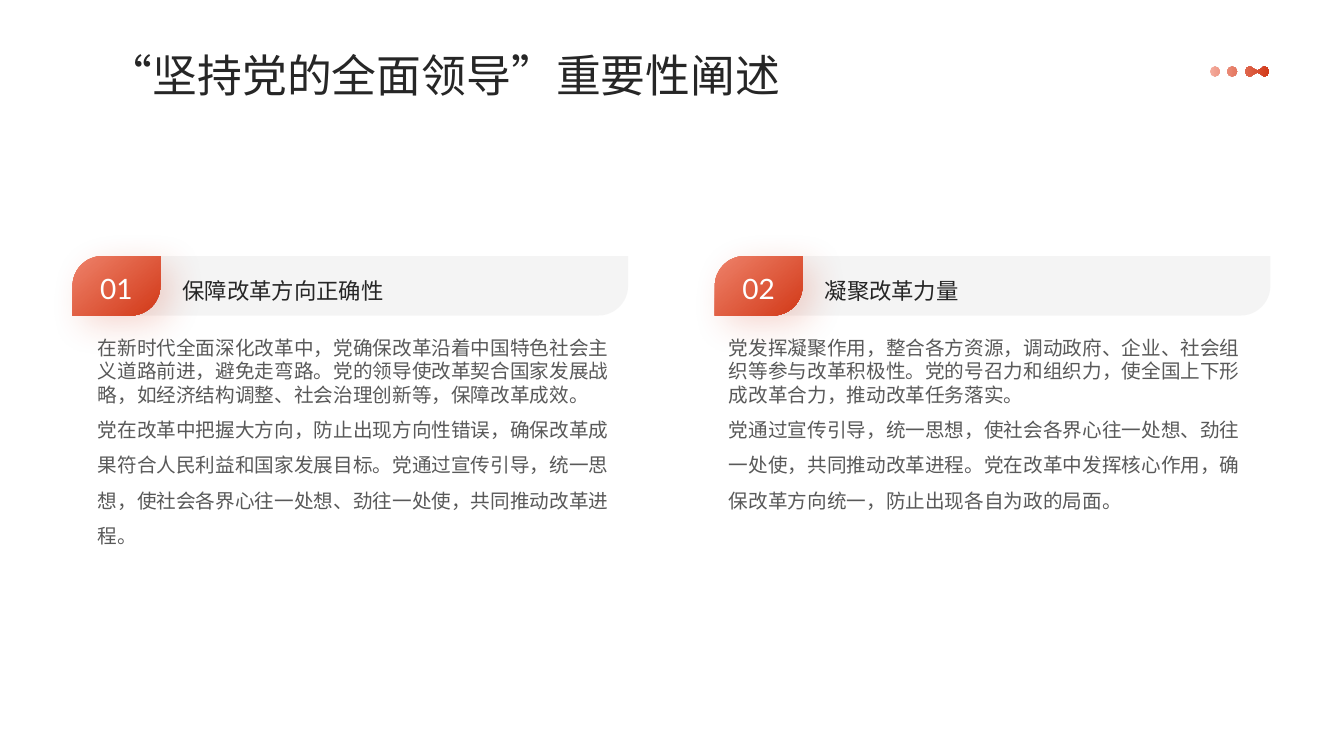
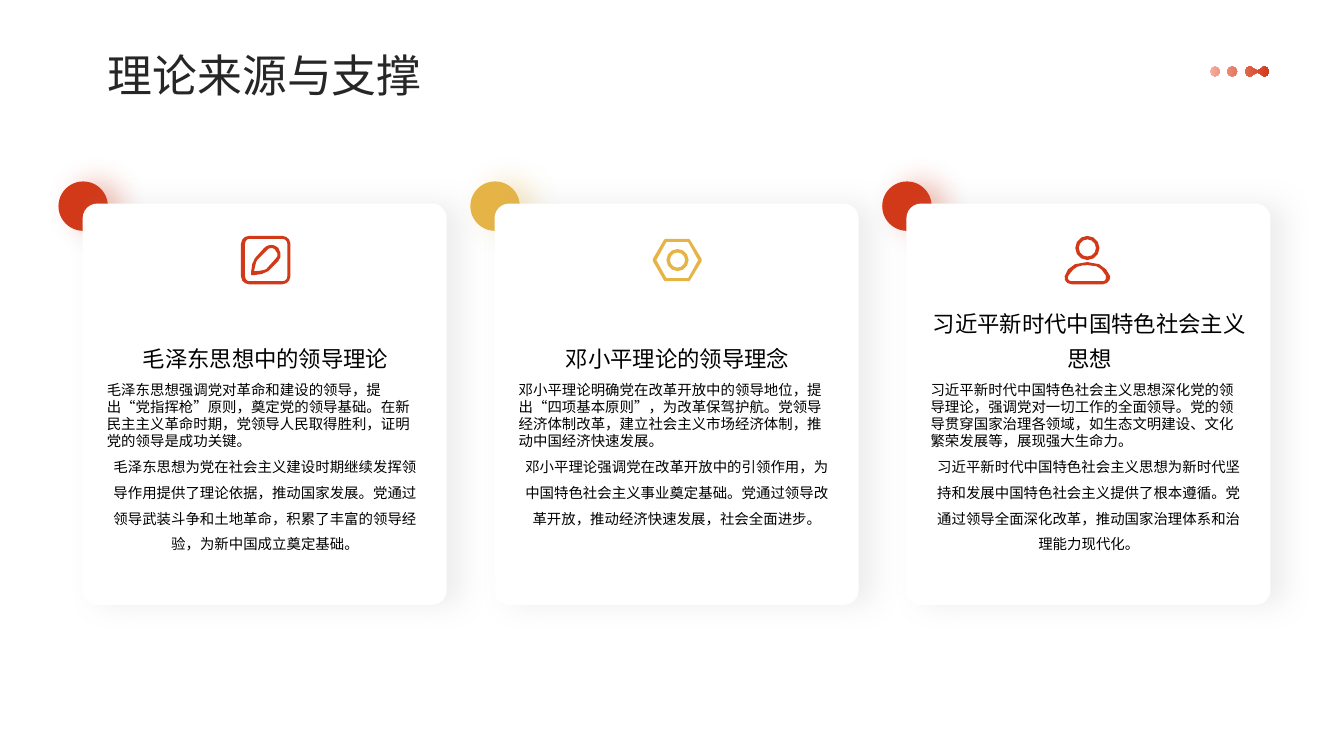
import math
from pptx import Presentation
from pptx import util as u
from pptx.dml.color import RGBColor
from pptx.enum import shapes, text
from pptx.oxml import ns
from lxml import etree

Inches, Pt = u.Inches, u.Pt
MSO = shapes.MSO_SHAPE
ALIGN, ANCHOR = text.PP_ALIGN, text.MSO_ANCHOR
RED, GOLD, CORAL, BLUSH = "D23918", "E6B446", "EE826A", "F4AB9C"
WHITE, BLACK, INK, GREY, PALE, SHADE = "FFFFFF", "000000", "262626", "595959", "F2F2F2", "A6A6A6"
CJK, LATIN = "Noto Sans CJK SC", "Lato"

DOTS = ("O 5 5 5 O 22 5 5 M 39 0 C 41 0 42 1 43 2 C 46 4.5 48 4.5 51 2 C 52 1 53 0 54 0 "
        "C 57 0 59 2 59 5 C 59 8 57 10 54 10 C 53 10 52 9 51 8 C 48 5.5 46 5.5 43 8 "
        "C 42 9 41 10 39 10 C 37 10 35 8 35 5 C 35 2 37 0 39 0")
PEN = ("M 30 12 C 28 12 27 13 26 14 L 16 24 C 15 25 14 30 13 35 C 18 35 23 34 25 33 L 34 23 "
       "C 37 21 37 17 34 14 C 33 13 32 12 30 12 "
       "M 30 9 C 32 9 35 10 37 12 C 40 16 40 22 37 25 L 27 35 C 23 39 10 39 10 39 "
       "C 10 39 10 25 14 22 L 23 12 C 25 10 28 9 30 9 "
       "M 8 3 C 6 3 4 5 4 8 L 4 40 C 4 43 6 45 8 45 L 41 45 C 44 45 46 43 46 40 L 46 8 "
       "C 46 5 44 3 41 3 "
       "M 8 0 L 41 0 C 45 0 49 3 49 8 L 49 40 C 49 45 45 48 41 48 L 8 48 C 4 48 0 45 0 40 "
       "L 0 8 C 0 3 4 0 8 0")
NUT = ("O 24.5 21 7.5 O 24.5 21 11 M 13.5 3 L 3.5 21 L 13.5 39 L 35 39 L 45 21 L 35 3 "
       "M 12 0 L 36 0 L 37 1 L 48.5 20 L 48.5 22 L 37 41 L 36 42 L 12 42 L 11 41 "
       "L 0 22 L 0 20 L 11 1")
PERSON = ("O 22.5 12 8.5 O 22.5 12 12 "
          "M 22.5 29 C 25 29 28 30 31 30 C 33 31 35 32 36 33 C 37 34 38 35 39 37 "
          "C 40 38 41 39 41 41 C 41 43 40 45 38 45 L 7 45 C 4 45 3 43 3 41 "
          "C 4 39 5 37 9 33 C 12 30 17 29 22.5 29 "
          "M 22.5 26 C 7 26 2 33 0 40 C -1 44 2 48 7 48 L 38 48 C 42 48 46 44 45 40 "
          "C 42 33 37 26 22.5 26")


def rgb(value):
    return RGBColor.from_string(value)


def contours(outline, steps):
    tokens = iter(outline.split())
    result = []

    def take(n):
        return [float(next(tokens)) for _ in range(n)]

    for command in tokens:
        if command == "O":
            cx, cy, radius = take(3)
            turns = [math.pi * i / (2 * steps) for i in range(4 * steps)]
            result.append([(cx + radius * math.cos(a), cy + radius * math.sin(a)) for a in turns])
        elif command == "M":
            result.append([tuple(take(2))])
        elif command == "L":
            result[-1].append(tuple(take(2)))
        else:
            start, v = result[-1][-1], take(6)
            knots = [start, v[0:2], v[2:4], v[4:6]]
            for t in (i / steps for i in range(1, steps + 1)):
                weights = [math.comb(3, k) * t ** k * (1 - t) ** (3 - k) for k in range(4)]
                result[-1].append(tuple(sum(w * knot[axis] for w, knot in zip(weights, knots))
                                        for axis in (0, 1)))
    return result


class Deck:
    def __init__(self):
        self.prs = Presentation()
        self.prs.slide_width, self.prs.slide_height = Inches(13.33), Inches(7.5)
        self.s = None

    def slide(self, title):
        self.s = self.prs.slides.add_slide(self.prs.slide_layouts[6])
        self.text([title], 1.07, 0.46, 10.76, 0.51, size=32, color=INK, spacing=[1.1],
                  anchor=ANCHOR.MIDDLE)
        self.freeform(DOTS, 12, 0.66, (BLUSH, RED), steps=2)

    def paint(self, sp, fill, angle=0, alpha=None, shadow=None):
        sp.line.fill.background()
        sp.shadow.inherit = False
        if isinstance(fill, tuple):
            sp.fill.gradient()
            sp.fill.gradient_angle = -angle % 360
            for stop, color in zip(sp.fill.gradient_stops, fill):
                stop.color.rgb = rgb(color)
        else:
            sp.fill.solid()
            sp.fill.fore_color.rgb = rgb(fill)
        props = sp._element.spPr
        if alpha:
            self.alpha(props.find(".//" + ns.qn("a:srgbClr")), alpha)
        if shadow:
            color, opacity, blur, distance, direction = shadow
            outer = etree.SubElement(props.find(ns.qn("a:effectLst")), ns.qn("a:outerShdw"),
                                     blurRad=str(Pt(blur)), dist=str(Pt(distance)),
                                     dir=str(direction * 60000), algn="ctr", rotWithShape="0")
            self.alpha(etree.SubElement(outer, ns.qn("a:srgbClr"), val=color), opacity)
        return sp

    def alpha(self, color_element, percent):
        etree.SubElement(color_element, ns.qn("a:alpha"), val=str(percent * 1000))

    def shape(self, kind, x, y, w, h, fill, adj=(), **style):
        sp = self.s.shapes.add_shape(kind, Inches(x), Inches(y), Inches(w), Inches(h))
        for i, value in enumerate(adj):
            sp.adjustments[i] = value
        return self.paint(sp, fill, **style)

    def freeform(self, outline, x, y, fill, steps=3):
        builder = None
        for points in contours(outline, steps):
            first, *rest = [(x * 1000 + px * 10, y * 1000 + py * 10) for px, py in points]
            if builder is None:
                builder = self.s.shapes.build_freeform(*first, scale=914.4)
            else:
                builder.move_to(*first)
            builder.add_line_segments(rest, close=True)
        return self.paint(builder.convert_to_shape(), fill)

    def text(self, paragraphs, x, y, w, h, size, color, spacing, font=CJK,
             aligns=(ALIGN.LEFT, ALIGN.LEFT), anchor=ANCHOR.TOP):
        tf = self.s.shapes.add_textbox(Inches(x), Inches(y), Inches(w), Inches(h)).text_frame
        tf.word_wrap, tf.vertical_anchor = True, anchor
        tf.margin_left = tf.margin_right = tf.margin_top = tf.margin_bottom = 0
        for i, (content, gap, align) in enumerate(zip(paragraphs, spacing, aligns)):
            p = tf.add_paragraph() if i else tf.paragraphs[0]
            p.alignment, p.line_spacing = align, gap
            r = p.add_run()
            r.text = content
            r.font.size, r.font.name, r.font.color.rgb = Pt(size), font, rgb(color)
            props = r.font._element
            props.set("lang", "zh-CN")
            etree.SubElement(props, ns.qn("a:ea"), typeface=font)

    def section(self, x, body_x, number, heading, body):
        self.shape(MSO.ROUND_2_DIAG_RECTANGLE, x + 0.31, 2.54, 5.2, 0.59, PALE,
                   adj=(0.5, 0), alpha=80)
        self.shape(MSO.ROUND_2_DIAG_RECTANGLE, x, 2.54, 0.87, 0.59, (CORAL, RED),
                   adj=(0.5, 0), angle=50, shadow=(RED, 20, 25, 10, 40))
        self.text(body, body_x, 3.33, 5.12, 2.07, size=14, color=GREY,
                  spacing=[Pt(16.8), Pt(25.2)])
        self.text([heading], x + 1.09, 2.65, 4.2, 0.39, size=16, color=INK, spacing=[1.3],
                  anchor=ANCHOR.MIDDLE)
        self.text([number], x + 0.14, 2.65, 0.59, 0.39, size=20, color=WHITE, spacing=[1.1],
                  font=LATIN, aligns=[ALIGN.CENTER], anchor=ANCHOR.MIDDLE)

    def card(self, x, color, icon, icon_y, heading, body):
        self.shape(MSO.OVAL, x, 1.8, 0.49, 0.49, color, shadow=(color, 32, 20, 10, 0))
        self.shape(MSO.ROUNDED_RECTANGLE, x + 0.24, 2.02, 3.61, 3.98, WHITE, adj=[0.04],
                   shadow=(SHADE, 20, 20, 10, 0))
        self.freeform(icon, x + 1.81, icon_y, color)
        self.text([heading], x + 0.48, 2.9, 3.15, 0.79, size=16, color=BLACK,
                  spacing=[Pt(25)], aligns=[ALIGN.CENTER], anchor=ANCHOR.BOTTOM)
        self.text(body, x + 0.48, 3.78, 3.14, 1.66, size=10.3, color=BLACK,
                  spacing=[Pt(12.2), Pt(18.5)], aligns=(ALIGN.LEFT, ALIGN.CENTER))


SECTIONS = [
    (0.72, 0.97, "01", "保障改革方向正确性", (
        "在新时代全面深化改革中，党确保改革沿着中国特色社会主义道路前进，避免走弯路。党的领导使改革契合国家发展战略，如经济结构调整、社会治理创新等，保障改革成效。",
        "党在改革中把握大方向，防止出现方向性错误，确保改革成果符合人民利益和国家发展目标。党通过宣传引导，统一思想，使社会各界心往一处想、劲往一处使，共同推动改革进程。")),
    (7.09, 7.23, "02", "凝聚改革力量", (
        "党发挥凝聚作用，整合各方资源，调动政府、企业、社会组织等参与改革积极性。党的号召力和组织力，使全国上下形成改革合力，推动改革任务落实。",
        "党通过宣传引导，统一思想，使社会各界心往一处想、劲往一处使，共同推动改革进程。党在改革中发挥核心作用，确保改革方向统一，防止出现各自为政的局面。")),
]
CARD_LEFT, CARD_PITCH = 0.58, (8.75 - 0.58) / 2
CARDS = [
    (RED, PEN, 2.34, "毛泽东思想中的领导理论", (
        "毛泽东思想强调党对革命和建设的领导，提出“党指挥枪”原则，奠定党的领导基础。在新民主主义革命时期，党领导人民取得胜利，证明党的领导是成功关键。",
        "毛泽东思想为党在社会主义建设时期继续发挥领导作用提供了理论依据，推动国家发展。党通过领导武装斗争和土地革命，积累了丰富的领导经验，为新中国成立奠定基础。")),
    (GOLD, NUT, 2.37, "邓小平理论的领导理念", (
        "邓小平理论明确党在改革开放中的领导地位，提出“四项基本原则”，为改革保驾护航。党领导经济体制改革，建立社会主义市场经济体制，推动中国经济快速发展。",
        "邓小平理论强调党在改革开放中的引领作用，为中国特色社会主义事业奠定基础。党通过领导改革开放，推动经济快速发展，社会全面进步。")),
    (RED, PERSON, 2.34, "习近平新时代中国特色社会主义思想", (
        "习近平新时代中国特色社会主义思想深化党的领导理论，强调党对一切工作的全面领导。党的领导贯穿国家治理各领域，如生态文明建设、文化繁荣发展等，展现强大生命力。",
        "习近平新时代中国特色社会主义思想为新时代坚持和发展中国特色社会主义提供了根本遵循。党通过领导全面深化改革，推动国家治理体系和治理能力现代化。")),
]


def main():
    deck = Deck()
    deck.slide("“坚持党的全面领导”重要性阐述")
    for section in SECTIONS:
        deck.section(*section)
    deck.slide("理论来源与支撑")
    for i, card in enumerate(CARDS):
        deck.card(CARD_LEFT + CARD_PITCH * i, *card)
    deck.prs.save("out.pptx")


if __name__ == "__main__":
    main()
